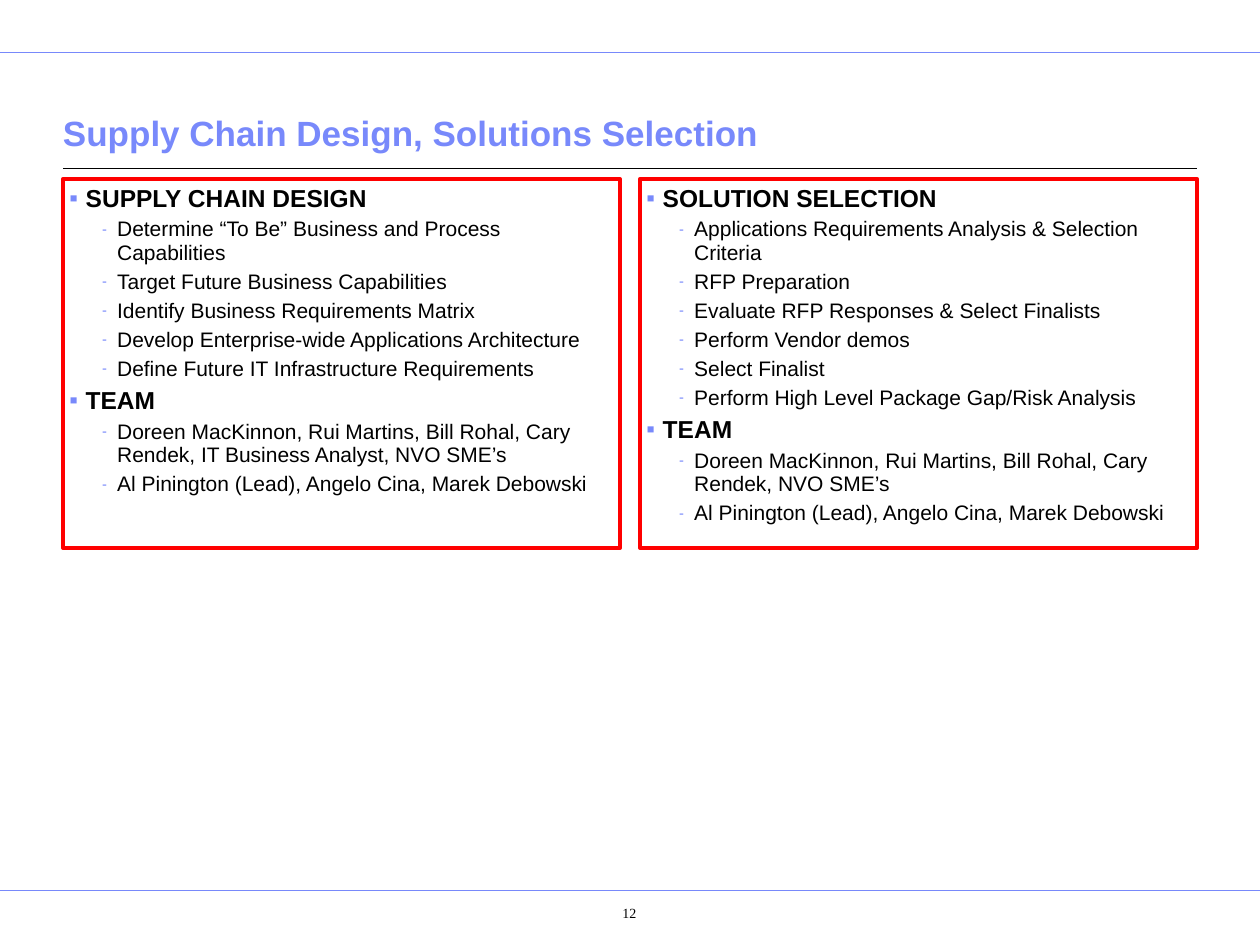
"""Build the supply chain design and solution selection slide."""
from dataclasses import dataclass

from lxml import etree
from pptx import Presentation
from pptx import util as u
from pptx.dml.color import RGBColor
from pptx.enum import shapes, text
from pptx.oxml.ns import qn


@dataclass(frozen=True)
class Theme:
    accent: str = "7889FB"
    ink: str = "000000"
    frame: str = "FF0000"
    font: str = "Arial"
    number_font: str = "Times New Roman"
    title_size: float = 20
    heading_size: float = 14
    item_size: float = 12
    number_size: float = 8
    line_spacing: float = 0.94


@dataclass(frozen=True)
class Level:
    bullet: str
    bullet_percent: int
    margin: float
    hanging: float
    space_before: float
    size: float
    bold: bool


@dataclass(frozen=True)
class Rule:
    left: float
    right: float
    top: float
    color: str
    weight: float


@dataclass(frozen=True)
class Section:
    heading: str
    items: tuple[str, ...]


THEME = Theme()
WIDTH, HEIGHT = 10, 7.5
MARGIN = 0.05 * WIDTH
CONTENT_WIDTH = WIDTH - 2 * MARGIN
GUTTER = 0.16
COLUMN_WIDTH = (CONTENT_WIDTH - GUTTER) / 2
PANEL_TOP, PANEL_HEIGHT = 1.42, 2.93

HEADING = Level("▪", 100, 0.13, 0.13, 3.5, THEME.heading_size, True)
ITEM = Level("-", 70, 0.38, 0.12, 3, THEME.item_size, False)

RULES = (
    Rule(0, WIDTH, 0.42, THEME.accent, 0.5),
    Rule(0, WIDTH, 7.07, THEME.accent, 0.5),
    Rule(MARGIN, WIDTH - MARGIN, 1.34, THEME.ink, 0.75),
)

LEAD_TEAM = "Al Pinington (Lead), Angelo Cina, Marek Debowski"
PANELS = (
    (
        Section("SUPPLY CHAIN DESIGN", (
            "Determine “To Be” Business and Process Capabilities",
            "Target Future Business Capabilities",
            "Identify Business Requirements Matrix",
            "Develop Enterprise-wide Applications Architecture",
            "Define Future IT Infrastructure Requirements",
        )),
        Section("TEAM", (
            "Doreen MacKinnon, Rui Martins, Bill Rohal, Cary Rendek, IT Business Analyst, NVO SME’s",
            LEAD_TEAM,
        )),
    ),
    (
        Section("SOLUTION SELECTION", (
            "Applications Requirements Analysis & Selection Criteria",
            "RFP Preparation",
            "Evaluate RFP Responses & Select Finalists",
            "Perform Vendor demos",
            "Select Finalist",
            "Perform High Level Package Gap/Risk Analysis",
        )),
        Section("TEAM", (
            "Doreen MacKinnon, Rui Martins, Bill Rohal, Cary Rendek, NVO SME’s",
            LEAD_TEAM,
        )),
    ),
)


def write(paragraph, content: str, *, size: float, color: str = THEME.ink,
          font: str = THEME.font, bold: bool = False, align=text.PP_ALIGN.LEFT) -> None:
    """Write formatted text into a paragraph."""
    paragraph.alignment = align
    run = paragraph.add_run()
    run.text = content
    run.font.name = font
    run.font.size = u.Pt(size)
    run.font.bold = bold
    run.font.color.rgb = RGBColor.from_string(color)


def prepare_frame(shape, insets: tuple[float, float, float, float], anchor):
    """Set wrapping, insets and anchor of a shape's text and return its frame."""
    frame = shape.text_frame
    frame.word_wrap = True
    frame.vertical_anchor = anchor
    (frame.margin_left, frame.margin_top,
     frame.margin_right, frame.margin_bottom) = map(u.Inches, insets)
    return frame


def add_bullet(paragraph, level: Level) -> None:
    """Give a paragraph the bullet and hanging indent of its level."""
    properties = paragraph._p.get_or_add_pPr()
    properties.set("marL", str(u.Inches(level.margin)))
    properties.set("indent", str(-u.Inches(level.hanging)))
    color = etree.SubElement(properties, qn("a:buClr"))
    etree.SubElement(color, qn("a:srgbClr"), val=THEME.accent)
    etree.SubElement(properties, qn("a:buSzPct"), val=str(level.bullet_percent * 1000))
    etree.SubElement(properties, qn("a:buFont"), typeface=THEME.font)
    etree.SubElement(properties, qn("a:buChar"), char=level.bullet)


def draw_rule(slide, rule: Rule) -> None:
    """Draw one horizontal rule."""
    line = slide.shapes.add_connector(
        shapes.MSO_CONNECTOR.STRAIGHT, u.Inches(rule.left), u.Inches(rule.top),
        u.Inches(rule.right), u.Inches(rule.top))
    line.line.color.rgb = RGBColor.from_string(rule.color)
    line.line.width = u.Pt(rule.weight)
    etree.SubElement(line._element.spPr, qn("a:effectLst"))


def draw_label(slide, box: tuple[float, float, float, float], content: str, *,
               insets: tuple[float, float, float, float], anchor, **style) -> None:
    """Draw a single-paragraph text box."""
    label = slide.shapes.add_textbox(*map(u.Inches, box))
    write(prepare_frame(label, insets, anchor).paragraphs[0], content, **style)


def draw_panel(slide, column: int, sections: tuple[Section, ...]) -> None:
    """Draw one framed column of bulleted sections."""
    left = MARGIN + column * (COLUMN_WIDTH + GUTTER)
    panel = slide.shapes.add_shape(
        shapes.MSO_SHAPE.RECTANGLE, u.Inches(left), u.Inches(PANEL_TOP),
        u.Inches(COLUMN_WIDTH), u.Inches(PANEL_HEIGHT))
    panel.shadow.inherit = False
    panel.fill.background()
    panel.line.color.rgb = RGBColor.from_string(THEME.frame)
    panel.line.width = u.Pt(2.25)
    frame = prepare_frame(panel, (0.05,) * 4, text.MSO_ANCHOR.TOP)
    entries = [entry for section in sections for entry in
               [(section.heading, HEADING), *((item, ITEM) for item in section.items)]]
    for index, (content, level) in enumerate(entries):
        paragraph = frame.add_paragraph() if index else frame.paragraphs[0]
        add_bullet(paragraph, level)
        paragraph.line_spacing = THEME.line_spacing
        paragraph.space_before = u.Pt(level.space_before if index else 0)
        write(paragraph, content, size=level.size, bold=level.bold)


def main() -> None:
    """Compose and save the slide."""
    presentation = Presentation()
    presentation.slide_width = u.Inches(WIDTH)
    presentation.slide_height = u.Inches(HEIGHT)
    slide = presentation.slides.add_slide(presentation.slide_layouts[6])
    for rule in RULES:
        draw_rule(slide, rule)
    draw_label(slide, (MARGIN, 0.64, CONTENT_WIDTH, 0.63),
               "Supply Chain Design, Solutions Selection",
               insets=(0, 0.05, 0, 0.05), anchor=text.MSO_ANCHOR.BOTTOM,
               size=THEME.title_size, color=THEME.accent, bold=True)
    for column, sections in enumerate(PANELS):
        draw_panel(slide, column, sections)
    draw_label(slide, (4.27, 7.11, 1.15, 0.35), "12",
               insets=(0.4, 0.07, 0.1, 0.05), anchor=text.MSO_ANCHOR.TOP,
               size=THEME.number_size, font=THEME.number_font, align=text.PP_ALIGN.CENTER)
    presentation.save("out.pptx")


if __name__ == "__main__":
    main()
